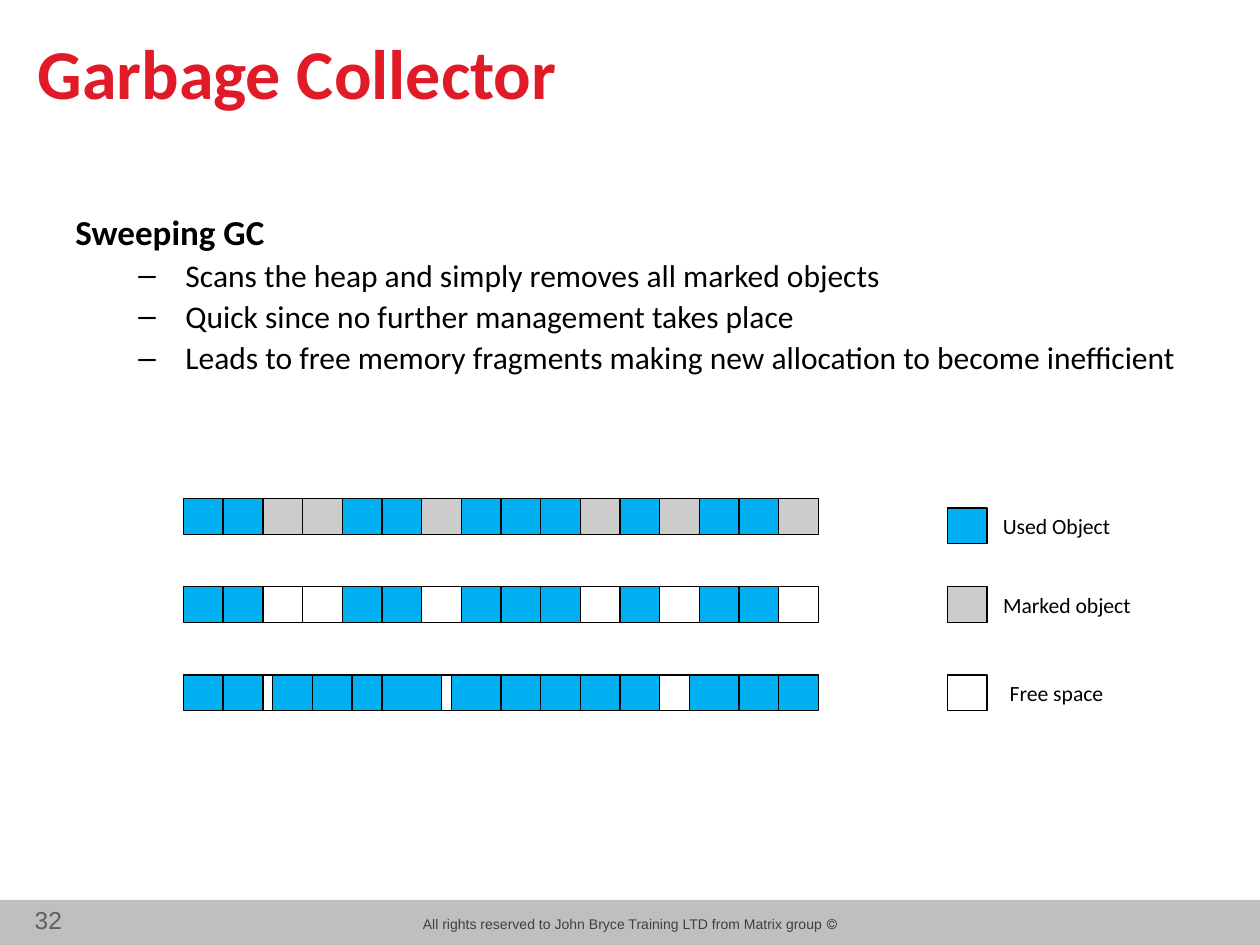
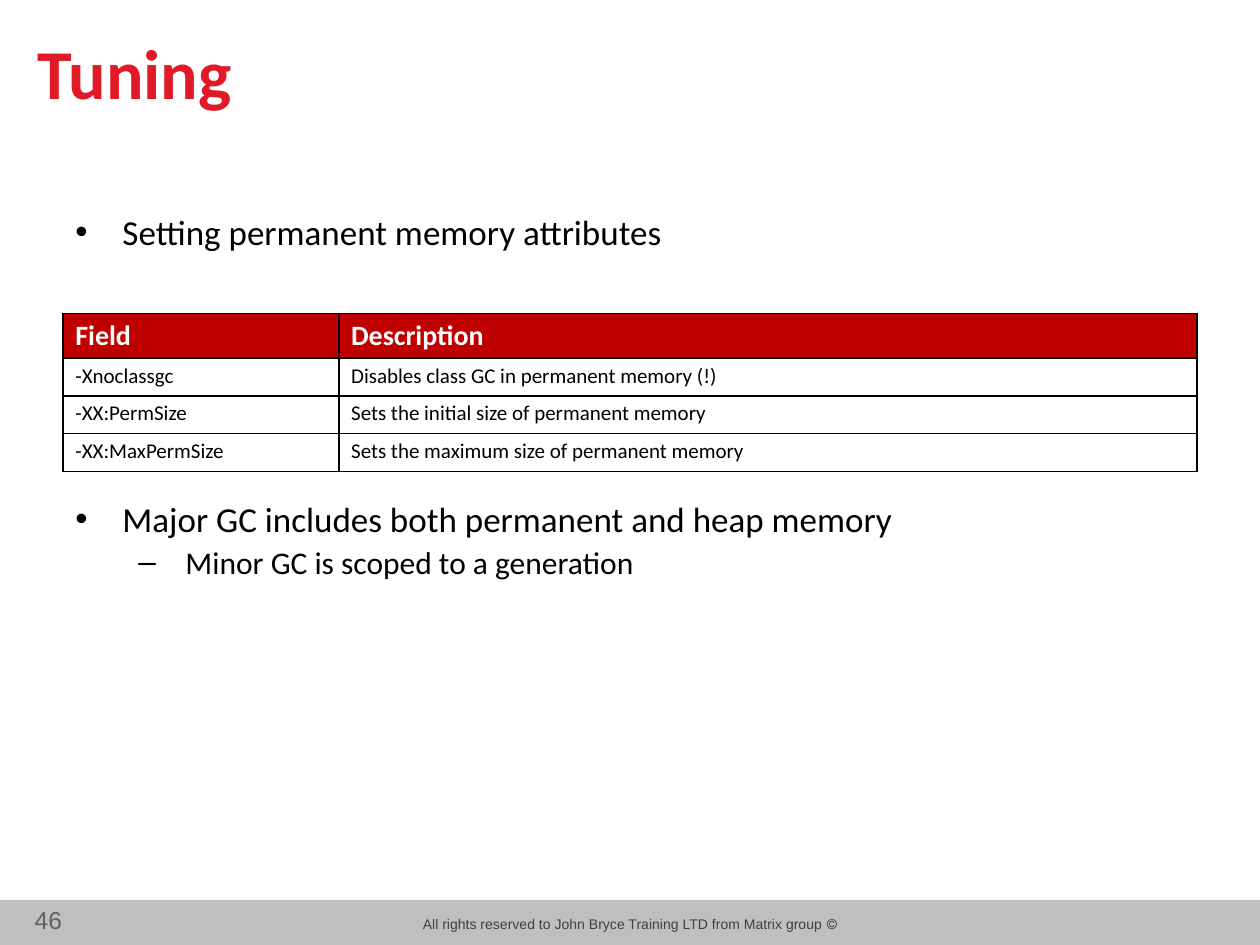
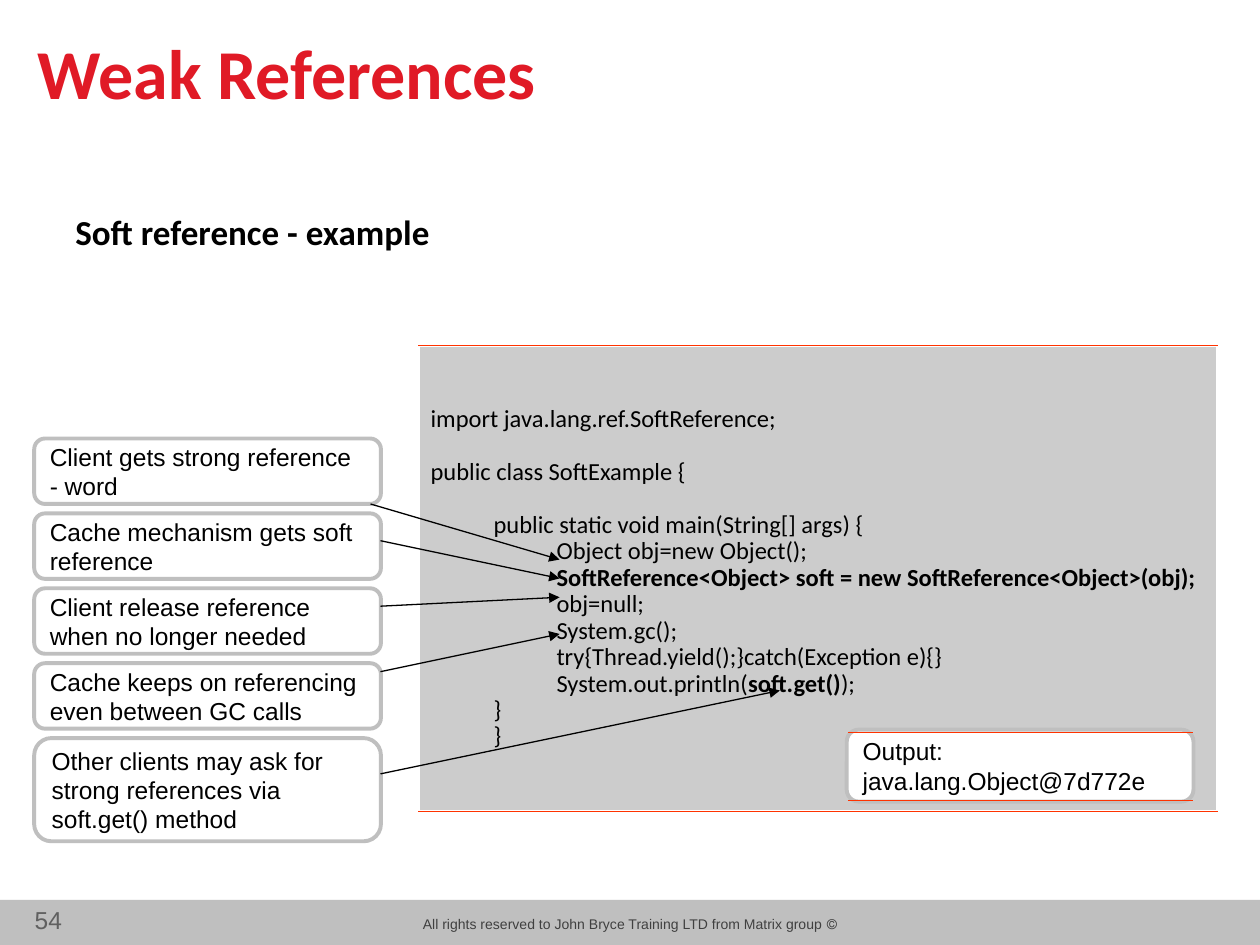
from dataclasses import dataclass
from lxml import etree
from pptx import Presentation
from pptx import util as u
from pptx.dml.color import RGBColor
from pptx.enum import shapes, text
from pptx.oxml.ns import qn


@dataclass(frozen=True)
class Theme:
    head: str = "Calibri"
    note: str = "Arial"
    red: str = "E01A26"
    dark: str = "C00000"
    rule: str = "FF3300"
    blue: str = "00B0F0"
    pale: str = "CCCCCC"
    band: str = "BFBFBF"
    black: str = "000000"
    white: str = "FFFFFF"
    foot: str = "404040"
    page: str = "606060"
    title: float = 40
    main: float = 20
    sub: float = 18
    field: float = 16
    code: float = 14
    key: float = 12.4
    cell: float = 12
    small: float = 8


T = Theme()
Cm, Pt, Rgb = u.Cm, u.Pt, RGBColor.from_string
Kind, Side, Mid = shapes.MSO_SHAPE, text.PP_ALIGN, text.MSO_ANCHOR.MIDDLE


def draw(slide, kind, spot, fill, edge=None, wide=0.75):
    shape = slide.shapes.add_shape(kind, *map(Cm, spot))
    shape.shadow.inherit = False
    shape.fill.solid()
    shape.fill.fore_color.rgb = Rgb(fill)
    if edge:
        shape.line.color.rgb = Rgb(edge)
        shape.line.width = Pt(wide)
    else:
        shape.line.fill.background()
    return shape


def write(frame, rows, size, font=T.head, color=T.black, bold=False,
          side=Side.LEFT, wrap=True, anchor=None):
    """Fill a frame; a row is (runs, look), and a run is (words, bold)."""
    frame.word_wrap = wrap
    if anchor is not None:
        frame.vertical_anchor = anchor
    for i, (runs, look) in enumerate(rows):
        para = frame.paragraphs[0] if i == 0 else frame.add_paragraph()
        para.alignment = side
        props = para._p.get_or_add_pPr()
        if "left" in look:
            props.set("marL", str(Cm(look["left"])))
            props.set("indent", str(Cm(look.get("hang", 0))))
        if "mark" in look:
            etree.SubElement(props, qn("a:buFont"), typeface=T.note)
            etree.SubElement(props, qn("a:buChar"), char=look["mark"])
        if "rtl" in look:
            props.set("rtl", "1")
        if "lead" in look:
            para.line_spacing = look["lead"]
        if "gap" in look:
            para.space_before = Pt(look["gap"])
        for words, heavy in [(runs, bold)] if isinstance(runs, str) else runs:
            run = para.add_run()
            run.text = words
            run.font.size = Pt(look.get("size", size))
            run.font.name = font
            run.font.bold = heavy
            run.font.color.rgb = Rgb(color)


deck = Presentation()
deck.slide_width, deck.slide_height = Cm(25.4), Cm(19.05)

DOT = dict(mark="•", left=0.95, hang=-0.95)
DASH = dict(mark="‒", left=2.22, hang=-0.95, size=T.sub, gap=2)
RIGHTS = "© All rights reserved to John Bryce Training LTD from Matrix group"

pages = [
    ("Garbage Collector", "32", [
        ([("Sweeping GC", True)], {}),
        ("Scans the heap and simply removes all marked objects", DASH),
        ("Quick since no further management takes place", DASH),
        ("Leads to free memory fragments making new allocation to become inefficient", DASH),
    ]),
    ("Tuning", "46", [
        ("Setting permanent memory attributes", DOT),
        ("Major GC includes both permanent and heap memory", DOT | dict(gap=140)),
        ("Minor GC is scoped to a generation", DASH),
    ]),
    ("Weak References", "54", [([("Soft reference - example", True)], {})]),
]
slides = []
for title, number, body in pages:
    slide = deck.slides.add_slide(deck.slide_layouts[6])
    slides.append(slide)
    draw(slide, Kind.RECTANGLE, (0, 18.14, 25.4, 0.91), T.band)
    for spot, rows, style in [
        ((8.08, 18.34, 9.25, 0.61), [(RIGHTS, dict(rtl=True))],
         dict(size=T.small, font=T.note, color=T.foot, side=Side.CENTER)),
        ((-0.23, 18.11, 1.73, 0.86), [(number, {})],
         dict(size=T.code, font=T.note, color=T.page, side=Side.RIGHT)),
        ((0.51, 0.36, 20.4, 2.16), [(title, {})],
         dict(size=T.title, color=T.red, bold=True, anchor=Mid)),
        ((1.27, 4.11, 22.86, 13.59), body, dict(size=T.main)),
    ]:
        write(slide.shapes.add_textbox(*map(Cm, spot)).text_frame, rows, **style)
sweep, tune, weak = slides

# Heap before, during and after the sweep: U used, M marked, F free
TINT = dict(U=T.blue, M=T.pale, F=T.white)
CELL, HIGH = 0.8, 0.72
TOPS = [10.05 + 1.78 * i for i in range(3)]
heap = "UUMMUUMUUUMUMUUM"
packed = [
    ("U", 0, 1), ("U", 1, 1), ("F", 2, 1), ("U", 2.25, 1), ("U", 4.25, 0.75),
    ("F", 6, 1), ("U", 6.75, 1.25), ("U", 8, 1), ("U", 9, 1), ("U", 11, 1.25),
    ("F", 12, 1), ("U", 12.75, 1.25), ("U", 14, 1), ("U", 10, 1), ("U", 15, 1),
    ("U", 5, 1.5), ("U", 3.25, 1),
]
marked = [(state, i, 1) for i, state in enumerate(heap)]
swept = [(state.replace("M", "F"), i, 1) for state, i, _ in marked]
for top, row in zip(TOPS, (marked, swept, packed)):
    for state, start, span in row:
        spot = (3.7 + CELL * start, top, CELL * span, HIGH)
        draw(sweep, Kind.RECTANGLE, spot, TINT[state], T.black)

for state, top, left, label in [
    ("U", 10.24, 20.9, "Used Object"),
    ("M", TOPS[1], 21.11, "Marked object"),
    ("F", TOPS[2], 20.9, "Free space"),
]:
    draw(sweep, Kind.RECTANGLE, (19.1, top, CELL, HIGH), TINT[state], T.black)
    tag = draw(sweep, Kind.RECTANGLE, (left, top, CELL, HIGH), T.white)
    write(tag.text_frame, [(label, {})], T.key, side=Side.CENTER, wrap=False, anchor=Mid)

# Options table
fields = [
    ("Field", "Description"),
    ("-Xnoclassgc", "Disables class GC in permanent memory (!)"),
    ("-XX:PermSize", "Sets the initial size of permanent memory"),
    ("-XX:MaxPermSize", "Sets the maximum size of permanent memory"),
]
spot = map(Cm, (1.27, 6.32, 22.86, 3.18))
table = tune.shapes.add_table(len(fields), 2, *spot).table
for col, wide in zip(table.columns, (5.56, 17.3)):
    col.width = Cm(wide)
for r, row in enumerate(fields):
    top = r == 0
    table.rows[r].height = Cm(0.9 if top else 0.76)
    for c, words in enumerate(row):
        cell = table.cell(r, c)
        cell.margin_left = cell.margin_right = Cm(0.25)
        cell.margin_top = cell.margin_bottom = Cm(0.1)
        write(cell.text_frame, [(words, {})], T.field if top else T.cell,
              color=T.white if top else T.black, bold=top)
        props = cell._tc.get_or_add_tcPr()
        for edge in ("lnL", "lnR", "lnT", "lnB"):
            line = etree.SubElement(props, qn("a:" + edge), w=str(Pt(1)))
            fill = etree.SubElement(line, qn("a:solidFill"))
            etree.SubElement(fill, qn("a:srgbClr"), val=T.black)
        cell.fill.solid()
        cell.fill.fore_color.rgb = Rgb(T.dark if top else T.white)

# Code listing: depth, blank line above, runs
code = [
    (0, 0, "import java.lang.ref.SoftReference;"),
    (0, 15, "public class SoftExample {"),
    (1, 15, "public static void main(String[] args) {"),
    (2, 0, "Object obj=new Object();"),
    (2, 0, [("SoftReference<Object> soft = new SoftReference<Object>(obj);", True)]),
    (2, 0, "obj=null;"),
    (2, 0, "System.gc();"),
    (2, 0, "try{Thread.yield();}catch(Exception e){}"),
    (2, 0, [("System.out.println(", False), ("soft.get()", True), (");", False)]),
    (1, 0, "}"),
    (1, 0, "}"),
]
rows = [(runs, dict(left=1.27 * deep, lead=0.9, gap=gap)) for deep, gap, runs in code]
panel = draw(weak, Kind.RECTANGLE, (8.43, 6.96, 16.13, 9.4), T.pale, T.white, 2)
write(panel.text_frame, rows, T.code, anchor=Mid)

notes = [
    "Client gets strong reference - word",
    "Cache mechanism gets soft reference",
    "Client release reference when no longer needed",
    "Cache keeps on referencing even between GC calls",
    "Other clients may ask for strong references via soft.get() method",
]
cards = [((0.69, 8.84 + 1.51 * i, 6.99, 2.08 if i == 4 else 1.32), [(note, {})])
         for i, note in enumerate(notes)]
cards.append(((17.07, 14.71, 6.99, 1.45), [("Output:", {}), ("java.lang.Object@7d772e", {})]))
for spot, rows in cards:
    card = draw(weak, Kind.FLOWCHART_ALTERNATE_PROCESS, spot, T.white, T.band, 2.25)
    write(card.text_frame, rows, T.code, T.note, anchor=Mid)

arrows = [
    (7.47, 10.16, 11.28, 11.28),
    (7.67, 10.9, 11.28, 11.66),
    (7.67, 12.22, 11.28, 12.04),
    (7.67, 13.54, 11.28, 12.78),
    (7.67, 15.6, 15.72, 13.92),
]
rules = [(x, y, end, y) for x, end, tops in
         [(8.43, 24.56, (16.36, 6.96)), (17.09, 24.05, (14.76, 16.13))] for y in tops]
for ends in arrows + rules:
    line = weak.shapes.add_connector(shapes.MSO_CONNECTOR.STRAIGHT, *map(Cm, ends))
    line.line.width = Pt(0.75)
    line.line.color.rgb = Rgb(T.black if ends in arrows else T.rule)
    props = line._element.spPr
    if ends in arrows:
        etree.SubElement(props.find(qn("a:ln")), qn("a:tailEnd"), type="triangle")
    etree.SubElement(props, qn("a:effectLst"))

deck.save("out.pptx")
